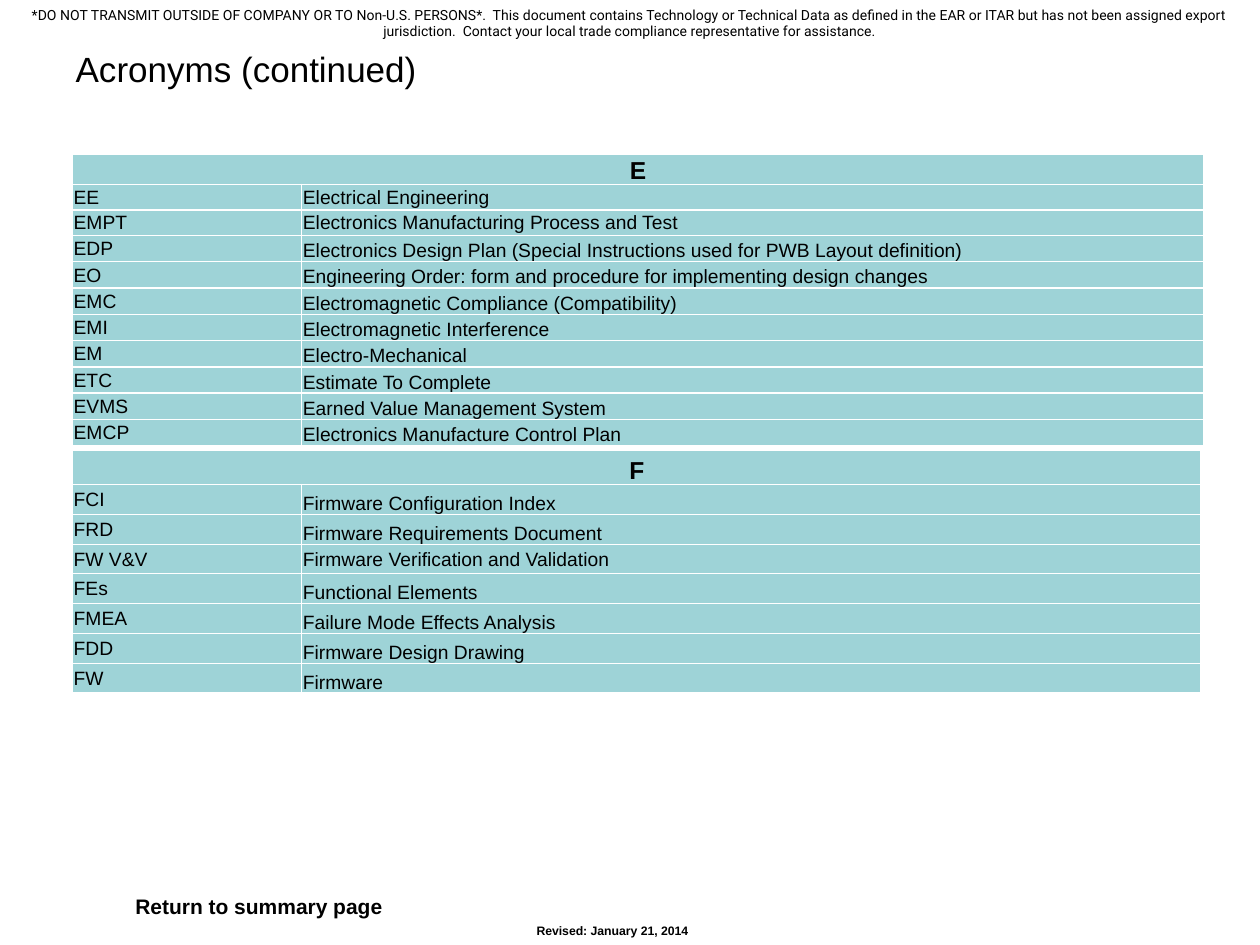
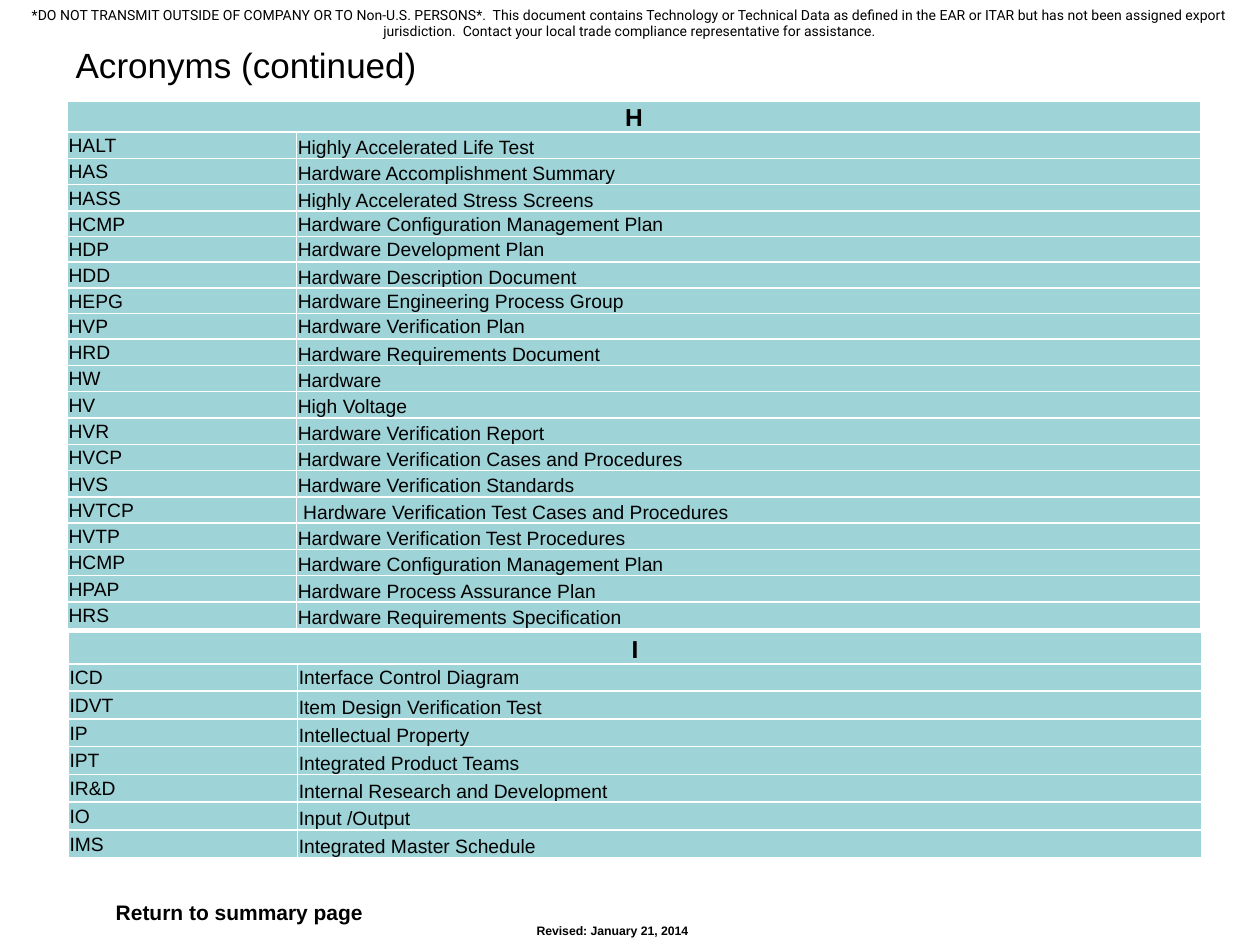
from lxml import etree
from pptx import Presentation
from pptx.dml.color import RGBColor
from pptx.enum import text as t
from pptx.oxml import ns
from pptx.util import Pt

BLACK, WHITE, TEAL = "000000", "FFFFFF", "9ED3D7"
ACRONYM_WIDTH = 131
CENTRED_ROW_TRIM = 0.5  # rows with a centred definition are slightly shorter
TITLE = "Acronyms (continued)"
RETURN_LABEL = "Return to summary page"
REVISION = "Revised: January 21, 2014"
NOTICE = (
    "*DO NOT TRANSMIT OUTSIDE OF COMPANY OR TO Non-U.S. PERSONS*.  This document "
    "contains Technology or Technical Data as defined in the EAR or ITAR but has not "
    "been assigned export jurisdiction.  Contact your local trade compliance "
    "representative for assistance."
)

E_TERMS = [
    ("EE", "Electrical Engineering"),
    ("EMPT", "Electronics Manufacturing Process and Test"),
    ("EDP", "Electronics Design Plan (Special Instructions used for PWB Layout definition)"),
    ("EO", "Engineering Order: form and procedure for implementing design changes"),
    ("EMC", "Electromagnetic Compliance (Compatibility)"),
    ("EMI", "Electromagnetic Interference"),
    ("EM", "Electro-Mechanical"),
    ("ETC", "Estimate To Complete"),
    ("EVMS", "Earned Value Management System"),
    ("EMCP", "Electronics Manufacture Control Plan"),
]
F_TERMS = [
    ("FCI", "Firmware Configuration Index"),
    ("FRD", "Firmware Requirements Document"),
    ("FW V&V", "Firmware Verification and Validation"),
    ("FEs", "Functional Elements"),
    ("FMEA", "Failure Mode Effects Analysis"),
    ("FDD", "Firmware Design Drawing"),
    ("FW", "Firmware"),
]
H_TERMS = [
    ("HALT", "Highly Accelerated Life Test"),
    ("HAS", "Hardware Accomplishment Summary"),
    ("HASS", "Highly Accelerated Stress Screens"),
    ("HCMP", "Hardware Configuration Management Plan"),
    ("HDP", "Hardware Development Plan"),
    ("HDD", "Hardware Description Document"),
    ("HEPG", "Hardware Engineering Process Group"),
    ("HVP", "Hardware Verification Plan"),
    ("HRD", "Hardware Requirements Document"),
    ("HW", "Hardware"),
    ("HV", "High Voltage"),
    ("HVR", "Hardware Verification Report"),
    ("HVCP", "Hardware Verification Cases and Procedures"),
    ("HVS", "Hardware Verification Standards"),
    ("HVTCP", " Hardware Verification Test Cases and Procedures"),
    ("HVTP", "Hardware Verification Test Procedures"),
    ("HCMP", "Hardware Configuration Management Plan"),
    ("HPAP", "Hardware Process Assurance Plan"),
    ("HRS", "Hardware Requirements Specification"),
]
I_TERMS = [
    ("ICD", "Interface Control Diagram"),
    ("IDVT", "Item Design Verification Test"),
    ("IP", "Intellectual Property"),
    ("IPT", "Integrated Product Teams"),
    ("IR&D", "Internal Research and Development"),
    ("IO", "Input /Output"),
    ("IMS", "Integrated Master Schedule"),
]


def color(hex_code):
    return RGBColor.from_string(hex_code)


def write(frame, content, size, bold=False, align=t.PP_ALIGN.LEFT, font="Arial"):
    frame.text = content
    paragraph = frame.paragraphs[0]
    paragraph.alignment = align
    for run in paragraph.runs:
        run.font.name = font
        run.font.size = Pt(size)
        run.font.bold = bold
        run.font.color.rgb = color(BLACK)


def add_label(slide, box, content, size, wrap=True, **style):
    frame = slide.shapes.add_textbox(*map(Pt, box)).text_frame
    frame.word_wrap = wrap
    write(frame, content, size, **style)


def set_title(slide, box):
    title = slide.shapes.title
    title.left, title.top, title.width, title.height = map(Pt, box)
    frame = title.text_frame
    frame.auto_size = t.MSO_AUTO_SIZE.NONE
    frame.vertical_anchor = t.MSO_ANCHOR.MIDDLE
    write(frame, TITLE, 20)


def style_cell(cell, anchor):
    """Give a cell its white borders, teal fill and tight margins."""
    properties = cell._tc.get_or_add_tcPr()
    for side in ("a:lnL", "a:lnR", "a:lnT", "a:lnB"):
        border = etree.SubElement(properties, ns.qn(side), w=str(Pt(1)))
        fill = etree.SubElement(border, ns.qn("a:solidFill"))
        etree.SubElement(fill, ns.qn("a:srgbClr"), val=WHITE)
    cell.fill.solid()
    cell.fill.fore_color.rgb = color(TEAL)
    cell.margin_left = cell.margin_right = cell.margin_top = Pt(0.7)
    cell.margin_bottom = 0
    cell.vertical_anchor = anchor


def add_glossary(slide, letter, terms, left, top, width, header_height, row_height, centred):
    """Add one letter's table; centred holds the row numbers with centred definitions."""
    heights = [header_height] + [
        row_height - CENTRED_ROW_TRIM * (number in centred)
        for number in range(1, len(terms) + 1)
    ]
    box = (left, top, width, sum(heights))
    table = slide.shapes.add_table(len(heights), 2, *map(Pt, box)).table
    table.first_row = table.horz_banding = False
    table.columns[0].width = Pt(ACRONYM_WIDTH)
    table.columns[1].width = Pt(width - ACRONYM_WIDTH)
    for row, height in zip(table.rows, heights):
        row.height = Pt(height)

    for column in range(2):
        style_cell(table.cell(0, column), t.MSO_ANCHOR.BOTTOM)
    header = table.cell(0, 0)
    header.merge(table.cell(0, 1))
    write(header.text_frame, letter, 14, bold=True, align=t.PP_ALIGN.CENTER)

    for number, (acronym, definition) in enumerate(terms, 1):
        anchor = t.MSO_ANCHOR.MIDDLE if number in centred else t.MSO_ANCHOR.BOTTOM
        acronym_cell, definition_cell = table.cell(number, 0), table.cell(number, 1)
        style_cell(acronym_cell, t.MSO_ANCHOR.MIDDLE)
        style_cell(definition_cell, anchor)
        write(acronym_cell.text_frame, acronym, 11)
        write(definition_cell.text_frame, definition, 11)


def add_acronym_slide(deck, title_height, return_box, glossaries):
    slide = deck.slides.add_slide(deck.slide_layouts[5])
    add_label(slide, (0, 0, 720, 26.6), NOTICE, 8, align=t.PP_ALIGN.CENTER, font="Roboto")
    set_title(slide, (36, 21.6, 648, title_height))
    for glossary in glossaries:
        add_glossary(slide, **glossary)
    add_label(slide, return_box, RETURN_LABEL, 12, bold=True, align=t.PP_ALIGN.CENTER)
    add_label(slide, (299.5, 524.2, 102.2, 15.8), REVISION, 7, wrap=False, bold=True)


def main():
    deck = Presentation()
    deck.slide_width, deck.slide_height = Pt(720), Pt(540)
    add_acronym_slide(deck, 35.3, (63.4, 506.9, 169.2, 21.6), [
        dict(letter="E", terms=E_TERMS, left=41.4, top=87.9, width=646.3,
             header_height=17.2, row_height=15.05, centred={1, 2}),
        dict(letter="F", terms=F_TERMS, left=41.4, top=257.4, width=645,
             header_height=19.6, row_height=17.1, centred={3}),
    ])
    add_acronym_slide(deck, 31, (54.7, 510.5, 164.2, 21.6), [
        dict(letter="H", terms=H_TERMS, left=38.5, top=58, width=647.6,
             header_height=17.2, row_height=15.05, centred={4, 5, 7, 8}),
        dict(letter="I", terms=I_TERMS, left=39.1, top=361.5, width=647.6,
             header_height=18, row_height=15.9, centred={1}),
    ])
    deck.save("out.pptx")


if __name__ == "__main__":
    main()
